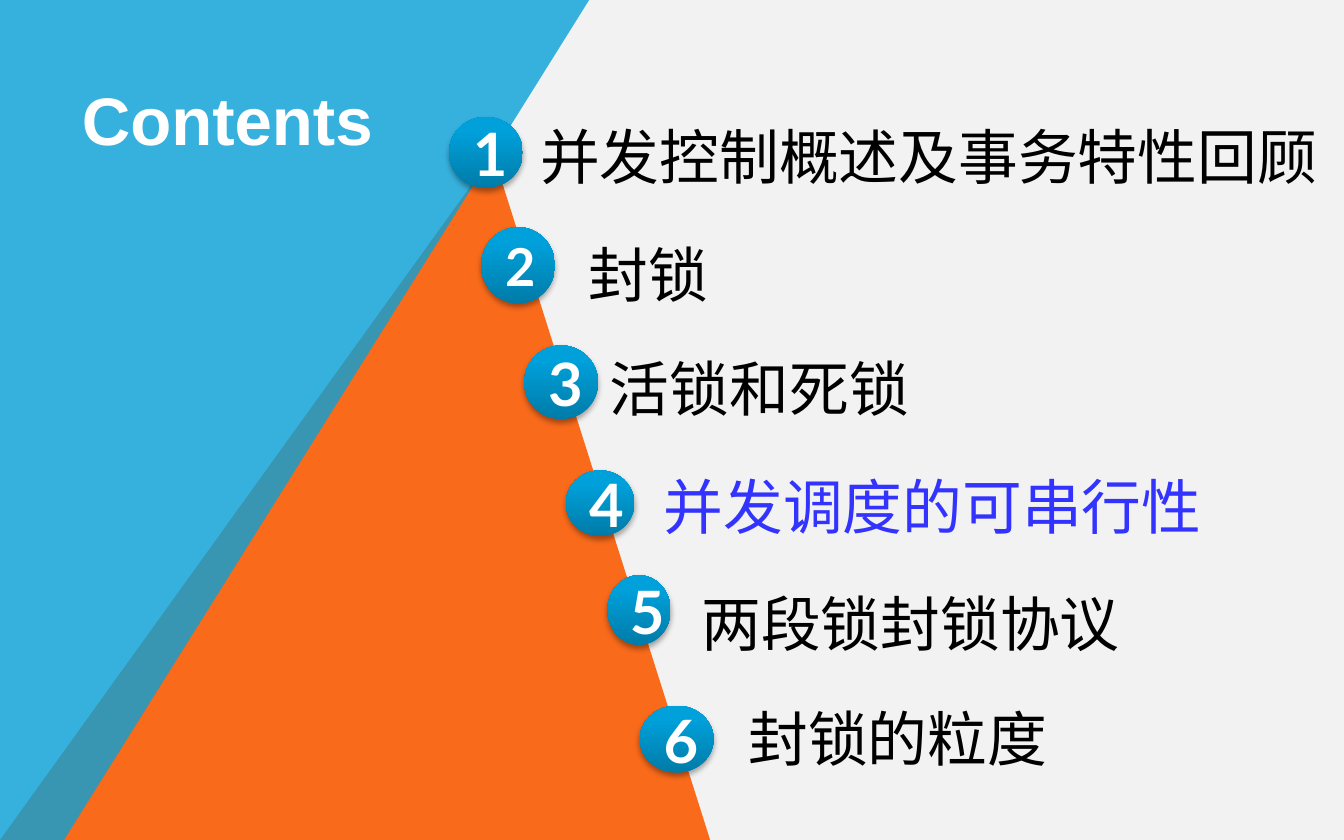
from pptx import Presentation
from pptx.dml.color import RGBColor
from pptx.enum.shapes import MSO_SHAPE
from pptx.enum.text import MSO_ANCHOR, PP_ALIGN
from pptx.oxml import parse_xml
from pptx.oxml.ns import nsdecls, qn
from pptx.util import Inches, Pt

OVAL = MSO_SHAPE.OVAL
TOP, MIDDLE = MSO_ANCHOR.TOP, MSO_ANCHOR.MIDDLE
LEFT, CENTER, JUSTIFY = PP_ALIGN.LEFT, PP_ALIGN.CENTER, PP_ALIGN.JUSTIFY

COLORS = {
    "background": "F2F2F2", "orange": "F96A1B", "blue": "08A1D9",
    "white": "FFFFFF", "black": "000000", "current": "3333FF",
}
BADGE_STOPS = [(0, "007BA8"), (80, "00A0DA"), (100, "00A0DB")]

ORANGE_PEAK = [(0, 6.25), (3.67, 1.15), (5.29, 6.27)]
BLUE_PANEL = [(-0.01, 6.29), (0, -0.01), (4.39, -0.01), (0.47, 6.26)]

TOPICS = [
    {"text": "并发控制概述及事务特性回顾", "badge": (3.34, 0.87, 0.55, 0.53),
     "label": (3.92, 0.68, 6.08, 0.8), "wrap": True},
    {"text": "封锁", "badge": (3.58, 1.69, 0.55, 0.57),
     "label": (4.28, 1.56, 1.1, 0.7), "digit_size": 28},
    {"text": "活锁和死锁", "badge": (3.9, 2.57, 0.55, 0.55),
     "label": (4.44, 2.41, 2.45, 0.7)},
    {"text": "并发调度的可串行性", "badge": (4.21, 3.5, 0.51, 0.49),
     "label": (4.84, 3.29, 4.24, 0.7), "color": "current"},
    {"text": "两段锁封锁协议", "badge": (4.52, 4.28, 0.47, 0.52),
     "label": (5.12, 4.16, 3.34, 0.7)},
    {"text": "封锁的粒度", "badge": (4.76, 5.25, 0.55, 0.5),
     "label": (5.47, 5.01, 2.45, 0.7)},
]


def rgb(name):
    return RGBColor.from_string(COLORS[name])


def write(s, text, size=32, font="Arial", color="black", bold=False,
          align=LEFT, anchor=TOP, spacing=None, wrap=True):
    tf = s.text_frame
    tf.word_wrap = wrap
    tf.vertical_anchor = anchor
    p = tf.paragraphs[0]
    p.alignment = align
    p.line_spacing = spacing
    r = p.add_run()
    r.text = text
    r.font.size = Pt(size)
    r.font.name = font
    r.font.bold = bold
    r.font.color.rgb = rgb(color)


def add_polygon(slide, points, color, opacity=100):
    corners = [(Inches(x), Inches(y)) for x, y in points]
    builder = slide.shapes.build_freeform(*corners[0])
    builder.add_line_segments(corners[1:], close=True)
    s = builder.convert_to_shape()
    s.shadow.inherit = False
    s.line.fill.background()
    s.fill.solid()
    s.fill.fore_color.rgb = rgb(color)
    if opacity < 100:
        clr = s._element.spPr.find(".//" + qn("a:srgbClr"))
        clr.append(parse_xml(f'<a:alpha {nsdecls("a")} val="{opacity * 1000}"/>'))


def add_badge(slide, number, box, size):
    s = slide.shapes.add_shape(OVAL, *map(Inches, box))
    s.line.fill.background()
    s.shadow.inherit = False
    stops = "".join(
        f'<a:gs pos="{pos * 1000}"><a:srgbClr val="{color}"/></a:gs>'
        for pos, color in BADGE_STOPS)
    spPr = s._element.spPr
    spPr.find(qn("a:prstGeom")).addnext(parse_xml(
        f'<a:gradFill {nsdecls("a")} rotWithShape="1"><a:gsLst>{stops}</a:gsLst>'
        '<a:lin ang="16200000" scaled="0"/></a:gradFill>'))
    spPr.find(qn("a:effectLst")).append(parse_xml(
        f'<a:outerShdw {nsdecls("a")} blurRad="{Pt(3.1)}" dist="{Pt(1.8)}" '
        'dir="5400000" rotWithShape="0"><a:srgbClr val="000000">'
        '<a:alpha val="35000"/></a:srgbClr></a:outerShdw>'))
    write(s, str(number), size=size, font="Lato", color="white", bold=True,
          align=CENTER, anchor=MIDDLE)


def add_text(slide, text, box, **style):
    write(slide.shapes.add_textbox(*map(Inches, box)), text, **style)


def main():
    prs = Presentation()
    prs.slide_width, prs.slide_height = Inches(10), Inches(6.25)
    slide = prs.slides.add_slide(prs.slide_layouts[6])
    slide.background.fill.solid()
    slide.background.fill.fore_color.rgb = rgb("background")

    add_polygon(slide, ORANGE_PEAK, "orange")
    add_polygon(slide, BLUE_PANEL, "blue", opacity=80)
    add_text(slide, "Contents", (0.51, 0.53, 2.68, 0.59),
             size=36, color="white", bold=True)

    for number, topic in enumerate(TOPICS, 1):
        add_badge(slide, number, topic["badge"], topic.get("digit_size", 32))
        add_text(slide, topic["text"], topic["label"],
                 color=topic.get("color", "black"), align=JUSTIFY,
                 spacing=1.3, wrap=topic.get("wrap", False))

    prs.save("out.pptx")


if __name__ == "__main__":
    main()
